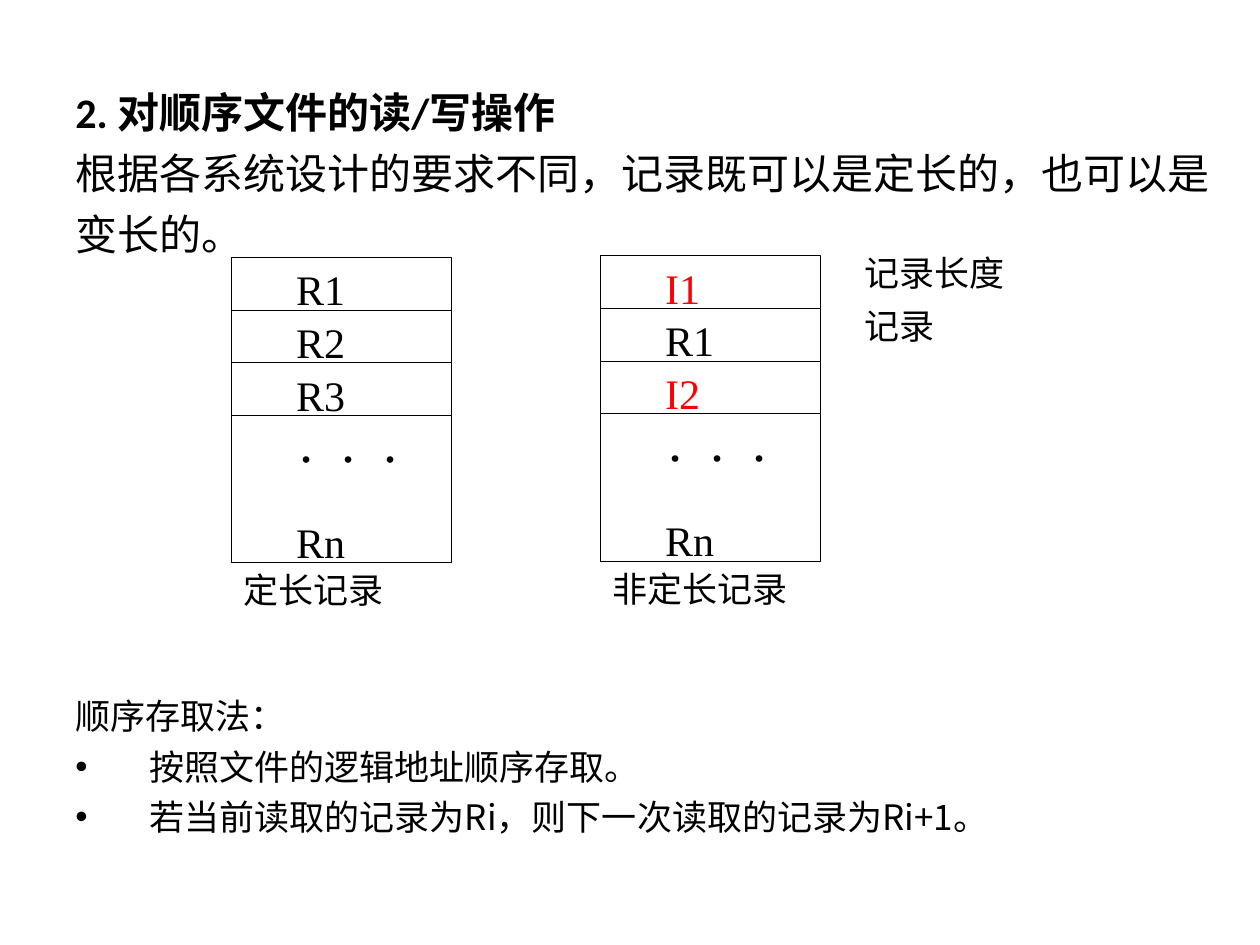
from lxml import etree
from pptx import Presentation
from pptx.dml.color import RGBColor
from pptx.enum.shapes import MSO_CONNECTOR, MSO_SHAPE
from pptx.oxml.ns import qn
from pptx.util import Cm, Pt

RECTANGLE = MSO_SHAPE.RECTANGLE
STRAIGHT = MSO_CONNECTOR.STRAIGHT
BLACK, RED = "000000", "FF0000"
CALIBRI, NOTO, TIMES = "Calibri", "Noto Sans CJK SC", "Times New Roman"

ROW = 1.06
TABLE_WIDTH, TABLE_HEIGHT = 4.45, 6.15
LABEL_INDENT = 1.06
HANGING = 1.49


def color(value):
    return RGBColor.from_string(value)


class RecordSlide:
    def __init__(self, presentation):
        self.slide = presentation.slides.add_slide(presentation.slide_layouts[6])
        self.line_width = Pt(0.5)

    def text(self, left, top, width, height, paragraphs, size, latin=TIMES,
             ink=BLACK, inset=0.13, gap=0):
        """Each paragraph is a (text, bold, bulleted) tuple."""
        box = self.slide.shapes.add_textbox(Cm(left), Cm(top), Cm(width), Cm(height))
        frame = box.text_frame
        frame.word_wrap = True
        frame.margin_top = frame.margin_bottom = Cm(inset)
        for index, (content, bold, bulleted) in enumerate(paragraphs):
            paragraph = frame.add_paragraph() if index else frame.paragraphs[0]
            if bulleted:
                self.bullet(paragraph)
            if index:
                paragraph.space_before = Pt(gap)
            run = paragraph.add_run()
            run.text = content
            run.font.size = Pt(size)
            run.font.bold = bold
            run.font.color.rgb = color(ink)
            run.font.name = latin
            etree.SubElement(run.font._element, qn("a:ea")).set("typeface", NOTO)

    def bullet(self, paragraph):
        properties = paragraph._p.get_or_add_pPr()
        properties.set("marL", str(Cm(HANGING)))
        properties.set("indent", str(-Cm(HANGING)))
        etree.SubElement(properties, qn("a:buFont")).set("typeface", "Arial")
        etree.SubElement(properties, qn("a:buChar")).set("char", "•")

    def label(self, left, top, width, content, size, ink=BLACK):
        self.text(left, top, width, 1.2, [(content, False, False)], size, ink=ink)

    def frame(self, left, top, width, height):
        outline = self.slide.shapes.add_shape(
            RECTANGLE, Cm(left), Cm(top), Cm(width), Cm(height))
        outline.shadow.inherit = False
        outline.fill.background()
        outline.line.color.rgb = color(BLACK)
        outline.line.width = self.line_width

    def divider(self, left, top, width):
        rule = self.slide.shapes.add_connector(
            STRAIGHT, Cm(left), Cm(top), Cm(left + width), Cm(top))
        rule.line.color.rgb = color(BLACK)
        rule.line.width = self.line_width
        etree.SubElement(rule._element.spPr, qn("a:effectLst"))

    def record_table(self, left, top, records, caption):
        """Draw three ruled records, an ellipsis, the last record and a caption."""
        bottom = top + TABLE_HEIGHT
        label_left = left + LABEL_INDENT
        self.frame(left, top, TABLE_WIDTH, TABLE_HEIGHT)
        for index, (record, ink) in enumerate(records):
            row_top = top + index * ROW
            self.divider(left, row_top + ROW, TABLE_WIDTH)
            self.label(label_left, row_top, 2.96, record, 24, ink)
        self.label(label_left, top + len(records) * ROW, 4.66, "．．．", 24)
        self.label(label_left, bottom - ROW, 2.96, "Rn", 24)
        self.label(left, bottom, TABLE_WIDTH, caption, 20)


def main():
    presentation = Presentation()
    presentation.slide_width, presentation.slide_height = Cm(25.4), Cm(19.05)
    page = RecordSlide(presentation)

    page.text(1.27, 1.74, 23.5, 3.7, [
        ("2. 对顺序文件的读/写操作", True, False),
        ("根据各系统设计的要求不同，记录既可以是定长的，也可以是", False, False),
        ("变长的。", False, False),
    ], 24, CALIBRI, inset=0, gap=6)

    page.record_table(4.66, 5.19, [("R1", BLACK), ("R2", BLACK), ("R3", BLACK)],
                      "定长记录")
    page.record_table(12.1, 5.16, [("I1", RED), ("R1", BLACK), ("I2", RED)],
                      "非定长记录")
    for index, meaning in enumerate(["记录长度", "记录"]):
        page.label(17.17, 4.95 + index * ROW, 4.02, meaning, 20)

    page.text(1.27, 14, 23.5, 3.1, [
        ("顺序存取法：", False, False),
        ("按照文件的逻辑地址顺序存取。", False, True),
        ("若当前读取的记录为Ri，则下一次读取的记录为Ri+1。", False, True),
    ], 20, NOTO, inset=0, gap=5)

    presentation.save("out.pptx")


if __name__ == "__main__":
    main()
